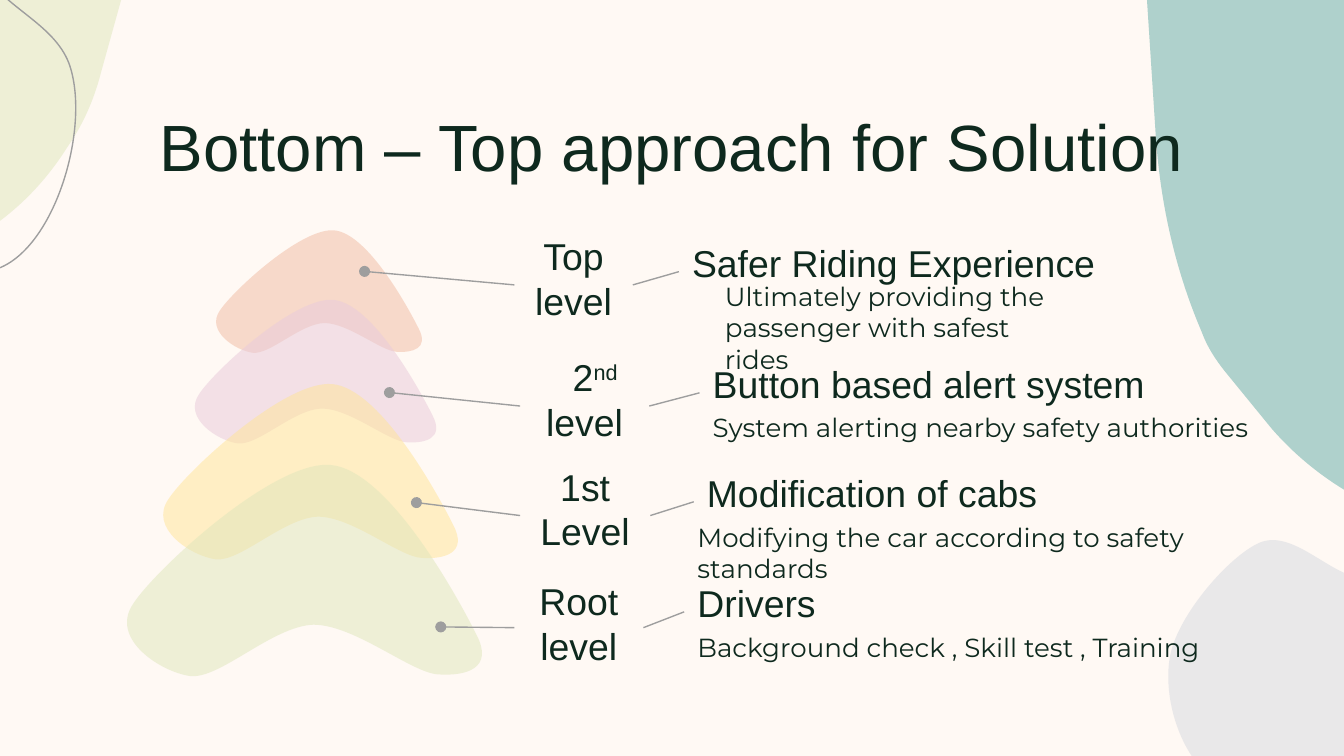
"""Builds a slide on the four levels of a bottom-to-top solution."""
from dataclasses import dataclass
from math import cos, radians, sin

from lxml import etree
from pptx import Presentation
from pptx.dml.color import RGBColor
from pptx.enum.shapes import MSO_CONNECTOR
from pptx.enum.text import MSO_ANCHOR, PP_ALIGN
from pptx.oxml.ns import qn
from pptx.util import Cm, Pt

STRAIGHT = MSO_CONNECTOR.STRAIGHT
TOP, MIDDLE, BOTTOM = MSO_ANCHOR.TOP, MSO_ANCHOR.MIDDLE, MSO_ANCHOR.BOTTOM
LEFT, CENTER = PP_ALIGN.LEFT, PP_ALIGN.CENTER
LEFT_SIDE, RIGHT_SIDE = 1, 3

CREAM = RGBColor(0xFF, 0xF9, 0xF4)
INK = RGBColor(0x0E, 0x29, 0x1E)
GREY = RGBColor(0x9E, 0x9E, 0x9E)
TEAL = RGBColor(0xAF, 0xD1, 0xCC)
GREEN = RGBColor(0xDE, 0xE6, 0xBB)
BLUE_GREY = RGBColor(0xCD, 0xD2, 0xDB)
PEACH = RGBColor(0xEE, 0xAE, 0x91)
PINK = RGBColor(0xE9, 0xCC, 0xDB)
YELLOW = RGBColor(0xFF, 0xE5, 0x99)

TEAL_BLOB = [
    [(21.64, -0.58)], [(21.84, 2.51)],
    [(21.92, 3.81), (22.2, 5.08), (22.71, 6.27)],
    [(22.81, 6.55), (22.96, 6.78), (23.14, 7.01)], [(24.03, 8.1)],
    [(24.56, 8.71), (25.2, 9.19), (25.93, 9.55)], [(26.95, 9.98)],
    [(27.2, 10.08), (27.43, 10.19), (27.69, 10.26)], [(25.25, -1.35)],
]
GREEN_BLOB = [
    [(1.24, -7.06)], [(-5.41, 2.31)], [(-1.63, 5)], [(-1.35, 4.9)], [(-1.09, 4.8)],
    [(-0.1, 4.39), (0.71, 3.68), (1.27, 2.79)],
    [(1.57, 2.36), (1.78, 1.88), (1.91, 1.37)], [(2.51, -0.79)], [(2.69, -1.4)],
    [(3.1, -2.74), (3.18, -4.17), (2.9, -5.56)], [(2.82, -5.94)],
]
GREY_BLOB = [
    [(22.89, 14.71)],
    [(23.5, 15.27), (25.07, 15.93), (25.81, 15.65)],
    [(26.57, 15.34), (27.13, 13.74), (27.38, 12.98)],
    [(27.63, 12.4), (27.63, 11.53), (27.33, 11.18)],
    [(27.03, 10.82), (26.19, 11.05), (25.6, 10.9)],
    [(25.02, 10.74), (24.38, 10.01), (23.8, 10.26)],
    [(23.22, 10.52), (22.28, 11.61), (22.12, 12.37)],
    [(21.97, 13.11), (22.25, 14.17), (22.89, 14.71)],
]
CORNER_CURVE = [
    [(-0.61, 5.11)],
    [(0.81, 5.46), (1.8, 2.54), (1.3, 1.19)],
    [(1.02, 0.48), (0.18, 0.18), (-0.25, -0.43)],
    [(-0.64, -0.99), (-0.38, -1.96), (-0.89, -2.41)],
    [(-1.09, -2.62), (-1.37, -2.67), (-1.65, -2.77)],
    [(-2.31, -3.02), (-2.97, -3.35), (-3.68, -3.45)],
]
TIER_OUTLINE = [
    [(3.28, 0.14)],
    [(3.63, 0.8), (3.07, 0.93), (2.57, 0.9)],
    [(2.06, 0.88), (0.99, -0.04), (0.2, -0.04)],
    [(-0.58, -0.01), (-1.57, 1), (-2.13, 0.93)],
    [(-2.69, 0.85), (-3.66, 0.22), (-3.2, -0.44)],
    [(-2.77, -1.1), (-0.53, -3.16), (0.53, -3.06)],
    [(1.63, -2.96), (2.95, -0.52), (3.28, 0.14)],
]
TIER_WIDTH, TIER_HEIGHT, TIER_ROTATION = 5.13, 5.51, 53.3
TIERS = [
    ((6.01, 6.13), 0.58, PEACH, 42),
    ((5.94, 7.75), 0.68, PINK, 54),
    ((5.84, 9.8), 0.83, YELLOW, 52),
    ((5.72, 11.85), 1, GREEN, 51),
]


@dataclass
class Level:
    """Texts, boxes and tier dot of one level, in centimetres."""
    label: list
    label_box: tuple
    heading: str
    heading_box: tuple
    detail: str
    detail_box: tuple
    dot: tuple
    label_indent: float = 0
    detail_inset: float = 0


LEVELS = [
    Level([("Top level", 0)], (9.72, 4.42, 2.24, 1.93),
          "Safer Riding Experience", (12.83, 4.64, 10.49, 0.99),
          "Ultimately providing the passenger with safest rides",
          (13.45, 5.17, 7.21, 1.45), (6.89, 5.13), detail_inset=0.13),
    Level([("2", 0), ("nd", 30), (" level", 0)], (9.83, 6.71, 2.44, 1.93),
          "Button based alert system", (13.22, 6.93, 11.48, 0.99),
          "System alerting nearby safety authorities",
          (13.22, 7.77, 11.48, 0.86), (7.36, 7.42), label_indent=0.4),
    Level([("1st Level", 0)], (9.83, 8.78, 2.46, 1.93),
          "Modification of cabs", (13.11, 8.99, 11.61, 0.99),
          "Modifying the car according to safety standards",
          (12.93, 9.85, 11.91, 0.86), (7.87, 9.5), label_indent=-0.2),
    Level([("Root level", 0)], (9.72, 10.85, 2.44, 2.03),
          "Drivers", (12.93, 11.07, 10.49, 0.99),
          "Background check , Skill test , Training",
          (12.93, 11.94, 10.49, 0.86), (8.33, 11.85)),
]


def to_box(point, box, rotation):
    """Turn a slide point back by the rotation and measure it from the box corner."""
    left, top, width, height = box
    x, y = point[0] - left - width / 2, point[1] - top - height / 2
    cosine, sine = cos(radians(rotation)), sin(radians(rotation))
    return x * cosine + y * sine + width / 2, y * cosine - x * sine + height / 2


def add_outline(slide, outline, box, rotation, closed=True):
    """Add a rotated freeform of lines and cubic curves."""
    left, top, width, height = map(Cm, box)
    builder = slide.shapes.build_freeform(0, 0)
    builder.add_line_segments([(width, height)], close=False)
    shape = builder.convert_to_shape(left, top)
    shape.rotation = rotation
    shape.shadow.inherit = False
    drawing = shape._element.spPr.find(".//" + qn("a:path"))
    for command in list(drawing):
        drawing.remove(command)
    for index, segment in enumerate(outline):
        name = "a:moveTo" if index == 0 else "a:lnTo" if len(segment) == 1 else "a:cubicBezTo"
        command = etree.SubElement(drawing, qn(name))
        for point in segment:
            x, y = map(Cm, to_box(point, box, rotation))
            etree.SubElement(command, qn("a:pt"), x=str(x), y=str(y))
    if closed:
        etree.SubElement(drawing, qn("a:close"))
    return shape


def add_blob(slide, outline, box, rotation, color, opacity=100):
    """Add a filled shape with the given opacity in percent."""
    shape = add_outline(slide, outline, box, rotation)
    shape.fill.solid()
    shape.fill.fore_color.rgb = color
    shape.line.fill.background()
    if opacity < 100:
        color_element = shape._element.spPr.find(qn("a:solidFill"))[0]
        etree.SubElement(color_element, qn("a:alpha"), val=str(opacity * 1000))


def add_tier(slide, center, scale, color, opacity):
    """Add one tier of the tree, scaled around its center."""
    x, y = center
    width, height = TIER_WIDTH * scale, TIER_HEIGHT * scale
    outline = [[(x + scale * dx, y + scale * dy) for dx, dy in segment] for segment in TIER_OUTLINE]
    box = (x - width / 2, y - height / 2, width, height)
    add_blob(slide, outline, box, TIER_ROTATION, color, opacity)


def style_line(line):
    """Make a line thin and grey."""
    line.color.rgb = GREY
    line.width = Pt(0.75)


def add_text(slide, box, runs, size, font="Arial", anchor=BOTTOM, align=LEFT, inset=0.25, indent=0):
    """Add a text box whose runs are pairs of text and raised percentage."""
    shape = slide.shapes.add_textbox(*map(Cm, box))
    frame = shape.text_frame
    frame.word_wrap = True
    frame.vertical_anchor = anchor
    frame.margin_left = frame.margin_right = Cm(0.25)
    frame.margin_top = frame.margin_bottom = Cm(inset)
    paragraph = frame.paragraphs[0]
    paragraph.alignment = align
    if indent:
        paragraph._p.get_or_add_pPr().set("indent", str(Cm(indent)))
    for text, raised in runs:
        run = paragraph.add_run()
        run.text = text
        run.font.size = Pt(size)
        run.font.name = font
        run.font.color.rgb = INK
        if raised:
            run._r.get_or_add_rPr().set("baseline", str(raised * 1000))
    return shape


def add_link(slide, label, side, heading=None, dot=(0, 0)):
    """Join a label to its heading, or to a dot on its tier."""
    connector = slide.shapes.add_connector(STRAIGHT, 0, 0, *map(Cm, dot))
    connector.begin_connect(label, side)
    style_line(connector.line)
    if heading is not None:
        connector.end_connect(heading, LEFT_SIDE)
    else:
        etree.SubElement(connector.line._get_or_add_ln(), qn("a:tailEnd"), type="oval")
    etree.SubElement(connector._element.spPr, qn("a:effectLst"))


def add_level(slide, level):
    """Add the texts and links of one level."""
    heading = add_text(slide, level.heading_box, [(level.heading, 0)], 20)
    label = add_text(slide, level.label_box, level.label, 20, align=CENTER, indent=level.label_indent)
    add_text(slide, level.detail_box, [(level.detail, 0)], 14, "Montserrat", TOP, inset=level.detail_inset)
    add_link(slide, label, RIGHT_SIDE, heading=heading)
    add_link(slide, label, LEFT_SIDE, dot=level.dot)


def main():
    """Build and save the slide."""
    presentation = Presentation()
    presentation.slide_width, presentation.slide_height = Cm(25.4), Cm(14.29)
    slide = presentation.slides.add_slide(presentation.slide_layouts[6])
    slide.background.fill.solid()
    slide.background.fill.fore_color.rgb = CREAM
    add_blob(slide, TEAL_BLOB, (22.2, -1.04, 4.32, 11.86), 348.1, TEAL)
    add_blob(slide, GREEN_BLOB, (-2.62, -6.43, 5.79, 11.48), 35.4, GREEN, 51)
    add_blob(slide, GREY_BLOB, (22.12, 10.06, 5.66, 5.44), 315, BLUE_GREY, 43)
    curve = add_outline(slide, CORNER_CURVE, (-5.87, -1.37, 9.22, 3.68), 59, closed=False)
    curve.fill.background()
    style_line(curve.line)
    for tier in TIERS:
        add_tier(slide, *tier)
    add_text(slide, (1.98, 1.5, 21.44, 2.51), [("Bottom – Top approach for Solution", 0)], 35,
             anchor=MIDDLE, align=CENTER)
    for level in LEVELS:
        add_level(slide, level)
    presentation.save("out.pptx")


if __name__ == "__main__":
    main()
